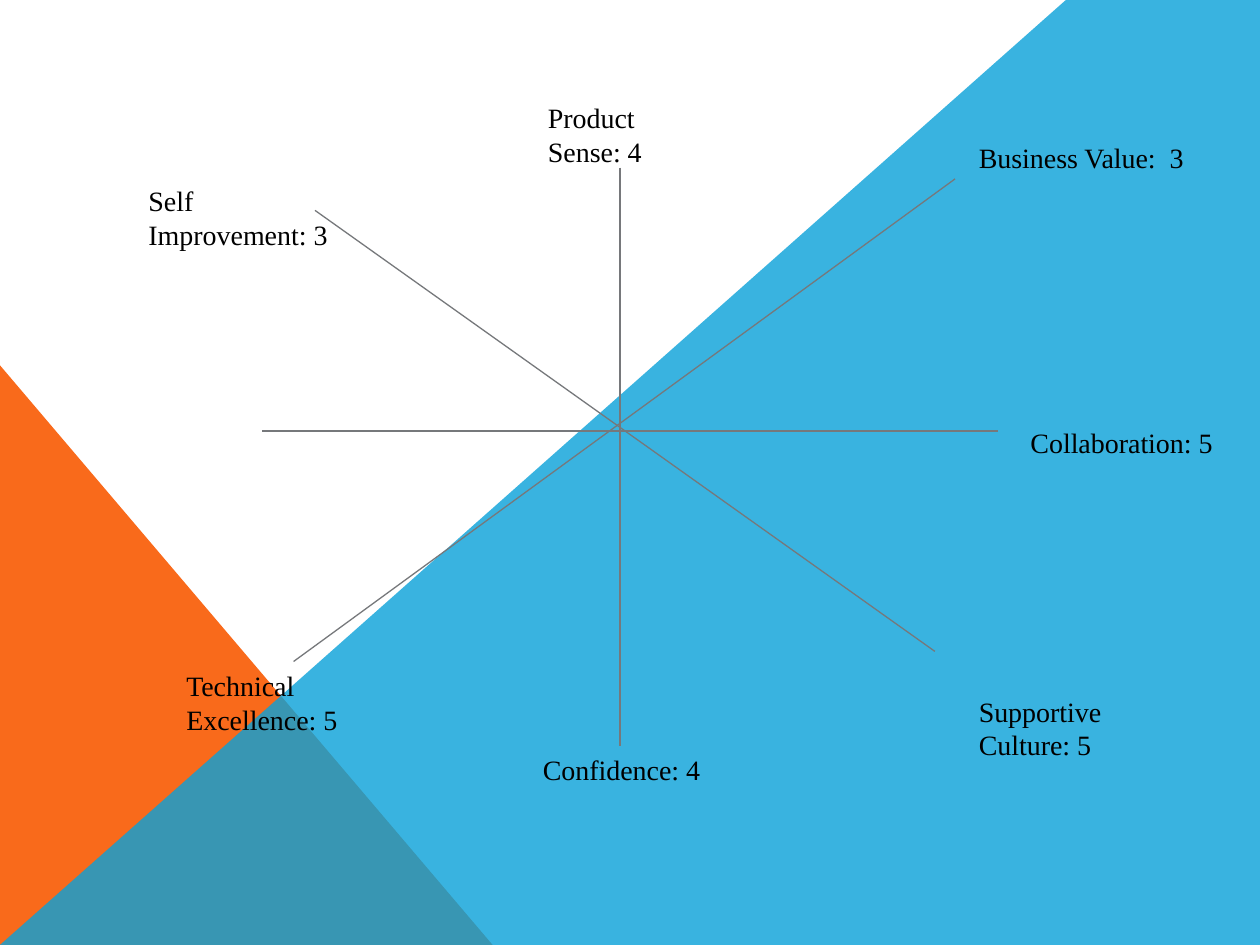
import pptx
import pptx.util
import pptx.dml.color
import pptx.enum.shapes
import pptx.enum.text
import pptx.oxml
import pptx.oxml.ns
import lxml.etree

Inches = pptx.util.Inches
RGB = pptx.dml.color.RGBColor.from_string

THEME = {
    "orange": RGB("F96A1B"),
    "blue": RGB("08A1D9"),
    "blue_alpha": "80000",
    "axis": RGB("76787B"),
    "axis_width": pptx.util.Pt(0.75),
    "label_font": {
        "name": "Times New Roman",
        "size": pptx.util.Pt(16),
    },
    "label_color": RGB("000000"),
}
LABEL_FRAME = {
    "word_wrap": True,
    "auto_size": pptx.enum.text.MSO_AUTO_SIZE.SHAPE_TO_FIT_TEXT,
}


def paint(area, color):
    area.shadow.inherit = False
    area.fill.solid()
    area.fill.fore_color.rgb = color
    area.line.fill.background()


deck = pptx.Presentation()
deck.slide_width, deck.slide_height = Inches(10), Inches(7.5)
slide = deck.slides.add_slide(deck.slide_layouts[6])

# Background: orange corner under a translucent blue diagonal
corner = slide.shapes.add_shape(
    pptx.enum.shapes.MSO_SHAPE.RIGHT_TRIANGLE,
    Inches(0), Inches(2.9), Inches(3.91), Inches(4.6))
paint(corner, THEME["orange"])

outline = slide.shapes.build_freeform(Inches(0), Inches(7.5))
outline.add_line_segments(
    [(Inches(x), Inches(y)) for x, y in [(8.46, 0), (10, 0), (10, 7.5)]], close=True)
diagonal = outline.convert_to_shape()
paint(diagonal, THEME["blue"])
blue_fill = diagonal.fill._xPr.find(".//" + pptx.oxml.ns.qn("a:srgbClr"))
lxml.etree.SubElement(blue_fill, pptx.oxml.ns.qn("a:alpha"), val=THEME["blue_alpha"])

# Radar axes
axes = [
    (2.5, 1.67, 7.42, 5.17),
    (7.58, 1.42, 2.33, 5.25),
    (4.92, 1.33, 4.92, 5.92),
    (7.92, 3.42, 2.08, 3.42),
]
for ends in axes:
    axis = slide.shapes.add_connector(
        pptx.enum.shapes.MSO_CONNECTOR.STRAIGHT, *map(Inches, ends))
    axis.line.color.rgb = THEME["axis"]
    axis.line.width = THEME["axis_width"]
    lxml.etree.SubElement(axis._element.spPr, pptx.oxml.ns.qn("a:effectLst"))

# Scores at the ends of the axes: left, top, width, lines
scores = [
    ("Collaboration: 5", 8.08, 3.33, 1.75, 1),
    ("Self Improvement: 3", 1.08, 1.41, 1.71, 2),
    ("Technical Excellence: 5", 1.38, 5.26, 1.42, 2),
    ("Product Sense: 4", 4.25, 0.75, 1.42, 2),
    ("Business Value:  3", 7.67, 1.07, 1.83, 1),
    ("Confidence: 4", 4.21, 5.92, 1.62, 1),
    ("Supportive Culture: 5", 7.67, 5.46, 1.54, 2),
]
for wording, left, top, width, lines in scores:
    height = 0.1 + 0.27 * lines
    label = slide.shapes.add_textbox(*map(Inches, (left, top, width, height))).text_frame
    for setting, value in LABEL_FRAME.items():
        setattr(label, setting, value)
    score = label.paragraphs[0].add_run()
    score.text = wording
    for setting, value in THEME["label_font"].items():
        setattr(score.font, setting, value)
    score.font.color.rgb = THEME["label_color"]

deck.save("out.pptx")
